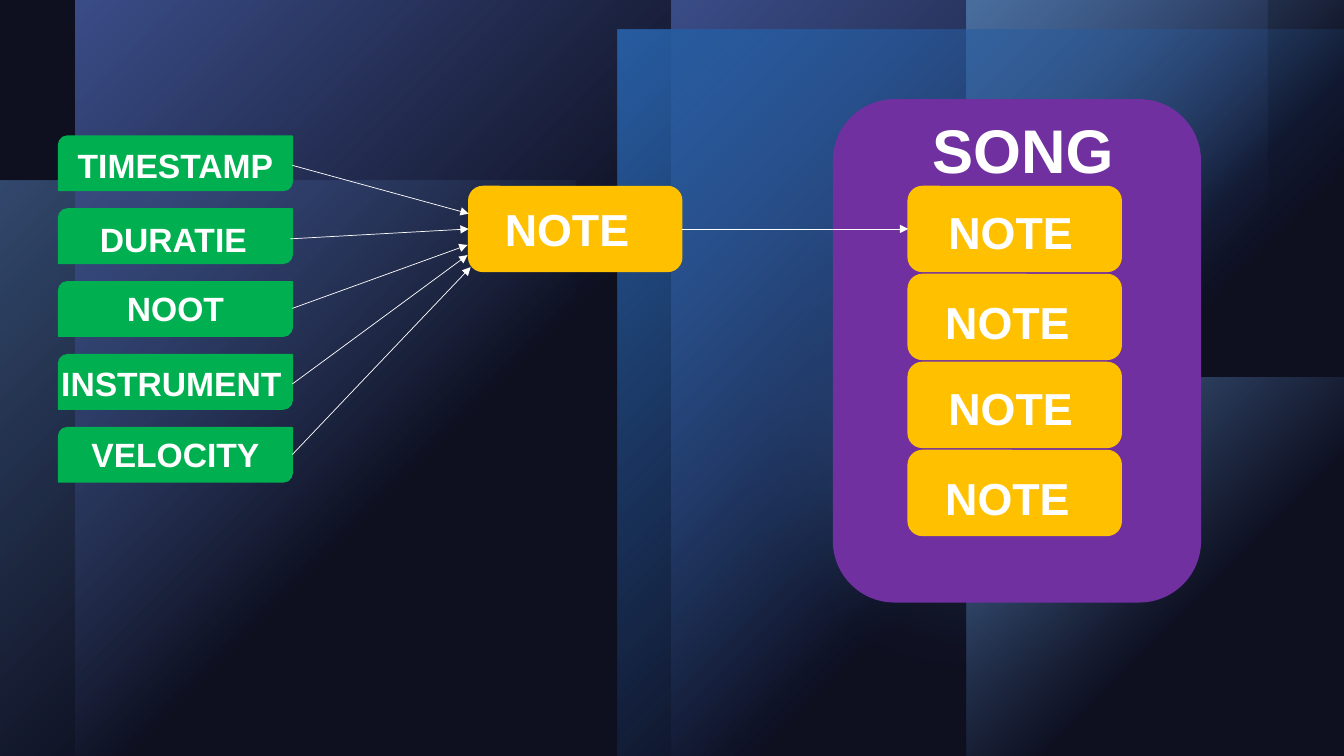
"""Build the slide that shows how note properties form notes and a song."""
from typing import NamedTuple, Optional

from lxml import etree
from pptx import Presentation
from pptx.dml.color import RGBColor
from pptx.enum.shapes import MSO_CONNECTOR as CONN, MSO_SHAPE as SHAPE
from pptx.enum.text import MSO_AUTO_SIZE as FIT, PP_ALIGN as ALIGN
from pptx.oxml import parse_xml
from pptx.oxml.ns import nsdecls, qn
from pptx.util import Pt

WHITE, GREEN, AMBER, PURPLE = "FFFFFF", "00B050", "FFC000", "7030A0"
NOTE_W, NOTE_H = 152.2, 60.7
NOTE_TOP, NOTE_STEP, SONG_NOTE_X = 133.2, 62.85, 648.7
PROP_X, PROP_TOP, PROP_STEP, PROP_W, PROP_H = 41.76, 97.2, 52.05, 167.04, 38.88


class Box(NamedTuple):
    x: float
    y: float
    w: float
    h: float


class Panel(NamedTuple):
    box: Box
    color: str
    alpha: int = 100
    rot: int = 0
    flip: bool = False
    round: bool = False


class Property(NamedTuple):
    text: str
    label_x: float
    label_y: float
    label_w: float
    start: tuple[float, float]
    end: tuple[float, float]


PANELS = [
    Panel(Box(0, 128.9, 411.1, 411.1), "629DD1", 60, 270),
    Panel(Box(502.6, 0, 339.8, 339.8), "297FD5", 96, round=True),
    Panel(Box(481.7, 97.2, 433.4, 433.4), "629DD1", 60, round=True),
    Panel(Box(479.5, 0, 425.5, 540), "4A66AC"),
    Panel(Box(54, 0, 425.5, 540), "4A66AC", flip=True),
    Panel(Box(690, 270, 270, 270), "629DD1", rot=90),
    Panel(Box(690, 0, 270, 270), "629DD1", rot=90, flip=True),
    Panel(Box(441, 21, 519, 519), "297FD5", rot=180),
]
PROPERTIES = [
    Property("TIMESTAMP", 41.8, 100.1, 167, (208.8, 118.1), (334.8, 152.6)),
    Property("DURATIE", 40.3, 152.6, 167, (207.4, 170.6), (334.8, 163.5)),
    Property("NOOT", 41.8, 202.3, 167, (208.8, 220.3), (334, 175)),
    Property("INSTRUMENT", 36, 255.6, 172.8, (208.8, 274.3), (334, 182.2)),
    Property("VELOCITY", 41.8, 306.7, 167, (208.8, 324.7), (336.2, 190.8)),
]


def rgb(color: str) -> RGBColor:
    return RGBColor.from_string(color)


def add_box(s, kind, box: Box, color: str, line: bool = True):
    sp = s.shapes.add_shape(kind, *map(Pt, box))
    sp.shadow.inherit = False
    sp.fill.solid()
    sp.fill.fore_color.rgb = rgb(color)
    if line:
        sp.line.color.rgb = rgb(color)
        sp.line.width = Pt(1)
    else:
        sp.line.fill.background()
    return sp


def set_alpha(sp, percent: int) -> None:
    clr = sp.fill._xPr.find(qn("a:solidFill"))[0]
    etree.SubElement(clr, qn("a:alpha"), val=str(percent * 1000))


def fade(sp, panel: Panel) -> None:
    stops = "".join(
        f'<a:gs pos="{pos}"><a:srgbClr val="{panel.color}">'
        f'<a:alpha val="{alpha * 1000}"/></a:srgbClr></a:gs>'
        for pos, alpha in ((0, panel.alpha), (60000, 0)))
    grad = parse_xml(
        f'<a:gradFill {nsdecls("a")} rotWithShape="1"><a:gsLst>{stops}</a:gsLst>'
        '<a:path path="circle"><a:fillToRect r="100000" b="100000"/></a:path>'
        '</a:gradFill>')
    spPr = sp._element.spPr
    spPr.replace(spPr.find(qn("a:solidFill")), grad)


def add_panel(s, panel: Panel) -> None:
    kind = SHAPE.OVAL if panel.round else SHAPE.RECTANGLE
    sp = add_box(s, kind, panel.box, panel.color, line=False)
    sp.rotation = panel.rot
    if panel.flip:
        sp._element.spPr.xfrm.set("flipH", "1")
    if panel.round:
        set_alpha(sp, panel.alpha)
        effects = sp._element.spPr.find(qn("a:effectLst"))
        etree.SubElement(effects, qn("a:softEdge"), rad=str(Pt(100)))
    else:
        fade(sp, panel)


def add_label(s, text: str, box: Box, size: int, align=None) -> None:
    tf = s.shapes.add_textbox(*map(Pt, box)).text_frame
    tf.word_wrap = True
    tf.auto_size = FIT.SHAPE_TO_FIT_TEXT
    p = tf.paragraphs[0]
    p.alignment = align
    r = p.add_run()
    r.text = text
    r.font.name, r.font.size, r.font.bold = "Arial", Pt(size), True
    r.font.color.rgb = rgb(WHITE)


def add_note(s, x: float, y: float, dx: float, dy: float):
    sp = add_box(s, SHAPE.ROUNDED_RECTANGLE, Box(x, y, NOTE_W, NOTE_H), AMBER)
    add_label(s, "NOTE", Box(x + dx, y + dy, 120.2, 46.1), 32)
    return sp


def add_arrow(s, start: tuple[float, float], end: tuple[float, float],
              source: Optional[object] = None, target: Optional[object] = None) -> None:
    cx = s.shapes.add_connector(CONN.STRAIGHT, *map(Pt, start + end))
    cx.line.color.rgb = rgb(WHITE)
    cx.line.width = Pt(0.5)
    etree.SubElement(cx.line._get_or_add_ln(), qn("a:tailEnd"), type="triangle")
    etree.SubElement(cx._element.spPr, qn("a:effectLst"))
    if source is not None:
        cx.begin_connect(source, 3)
    if target is not None:
        cx.end_connect(target, 1)


def main() -> None:
    prs = Presentation()
    prs.slide_width, prs.slide_height = Pt(960), Pt(540)
    s = prs.slides.add_slide(prs.slide_layouts[6])
    s.background.fill.solid()
    s.background.fill.fore_color.rgb = rgb("000000")

    for panel in PANELS:
        add_panel(s, panel)
    veil = add_box(s, SHAPE.RECTANGLE, Box(0, 0, 960, 540), "242852", line=False)
    set_alpha(veil, 40)

    add_box(s, SHAPE.ROUNDED_RECTANGLE, Box(595.4, 71.3, 262.1, 358.6), PURPLE)
    add_label(s, "SONG", Box(658.8, 76.3, 198.7, 60.5), 44)
    song_notes = [
        add_note(s, SONG_NOTE_X, NOTE_TOP + i * NOTE_STEP,
                 *((19.4, 10.8) if i % 2 else (21.6, 9.4)))
        for i in range(4)]
    note = add_note(s, 334.8, NOTE_TOP, 18.7, 7.2)

    for i, prop in enumerate(PROPERTIES):
        add_box(s, SHAPE.ROUND_2_DIAG_RECTANGLE,
                Box(PROP_X, PROP_TOP + i * PROP_STEP, PROP_W, PROP_H), GREEN)
        add_label(s, prop.text, Box(prop.label_x, prop.label_y, prop.label_w, 36),
                  24, ALIGN.CENTER)
    for prop in PROPERTIES:
        add_arrow(s, prop.start, prop.end,
                  target=note if prop.text == "DURATIE" else None)
    add_arrow(s, (487, 163.5), (SONG_NOTE_X, 163.5), note, song_notes[0])
    prs.save("out.pptx")


if __name__ == "__main__":
    main()
